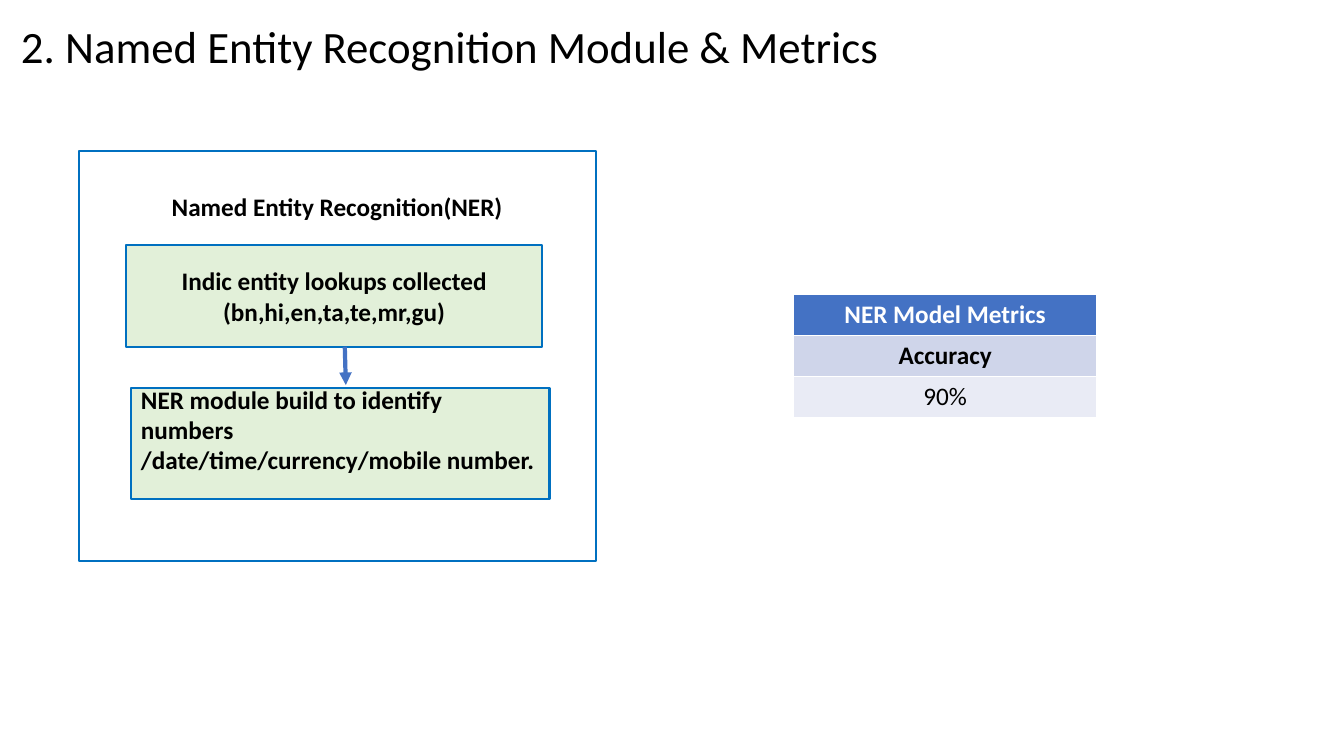
from lxml import etree
from pptx import Presentation
from pptx.dml.color import RGBColor
from pptx.enum import shapes, text
from pptx.oxml import ns
from pptx.util import Pt

SCALE = 9144
LEFT, MID = text.PP_ALIGN.LEFT, text.PP_ALIGN.CENTER


def px(*sizes):
    return [size * SCALE for size in sizes]


def color(code):
    return RGBColor.from_string(code)


class Board:
    font = "Calibri"
    ink = "000000"
    edge = "0070C0"
    blue = "4472C4"
    mint = "E2F0D9"

    def __init__(self, deck):
        self.slide = deck.slides.add_slide(deck.slide_layouts[6])
        self.shapes = self.slide.shapes

    def label(self, frame, words, size=18, bold=True, ink=ink, align=MID):
        para = frame.paragraphs[0]
        para.text = words
        para.alignment = align
        para.font.name = self.font
        para.font.size = Pt(size)
        para.font.bold = bold
        para.font.color.rgb = color(ink)
        return para

    def title(self, area, words):
        frame = self.shapes.add_textbox(*px(*area)).text_frame
        frame.word_wrap = True
        frame.vertical_anchor = text.MSO_ANCHOR.MIDDLE
        self.label(frame, words, 32, False, align=LEFT).line_spacing = 0.9

    def box(self, area, words, fill=None, align=MID, anchor="MIDDLE", pad=(5, 5)):
        box = self.shapes.add_shape(shapes.MSO_SHAPE.RECTANGLE, *px(*area))
        box.shadow.inherit = False
        if fill:
            box.fill.solid()
            box.fill.fore_color.rgb = color(fill)
        else:
            box.fill.background()
        box.line.color.rgb = color(self.edge)
        box.line.width = Pt(1.5)
        frame = box.text_frame
        frame.word_wrap = True
        frame.vertical_anchor = text.MSO_ANCHOR[anchor]
        frame.margin_top, frame.margin_bottom = px(*pad)
        self.label(frame, words, align=align)

    def arrow(self, ends):
        link = self.shapes.add_connector(shapes.MSO_CONNECTOR.STRAIGHT, *px(*ends))
        link.line.color.rgb = color(self.blue)
        link.line.width = Pt(3)
        props = link._element.spPr
        etree.SubElement(props.find(ns.qn("a:ln")), ns.qn("a:tailEnd"), type="triangle")
        etree.SubElement(props, ns.qn("a:effectLst"))

    def table(self, area, rows):
        grid = self.shapes.add_table(len(rows), 1, *px(*area)).table
        for cell, (words, fill, ink, bold) in zip(grid.iter_cells(), rows):
            cell.fill.solid()
            cell.fill.fore_color.rgb = color(fill)
            self.label(cell.text_frame, words, bold=bold, ink=ink)


def main():
    deck = Presentation()
    deck.slide_width, deck.slide_height = px(1333, 750)
    board = Board(deck)
    board.title((11, 18, 1252, 62), "2. Named Entity Recognition Module & Metrics")
    board.box((78, 150, 513, 407), "Named Entity Recognition(NER)",
              anchor="TOP", pad=(40, 5))
    board.box((125, 243, 413, 101),
              "Indic entity lookups collected (bn,hi,en,ta,te,mr,gu)", board.mint)
    board.box((130, 385, 415, 110),
              "NER module build to identify numbers /date/time/currency/mobile number.",
              board.mint, LEFT, pad=(0, 28))
    board.arrow((342, 344, 343, 382))
    board.table((787, 292, 301, 122), [
        ("NER Model Metrics", board.blue, "FFFFFF", True),
        ("Accuracy", "CFD5EA", board.ink, True),
        ("90%", "E9EBF5", board.ink, False),
    ])
    deck.save("out.pptx")


if __name__ == "__main__":
    main()
